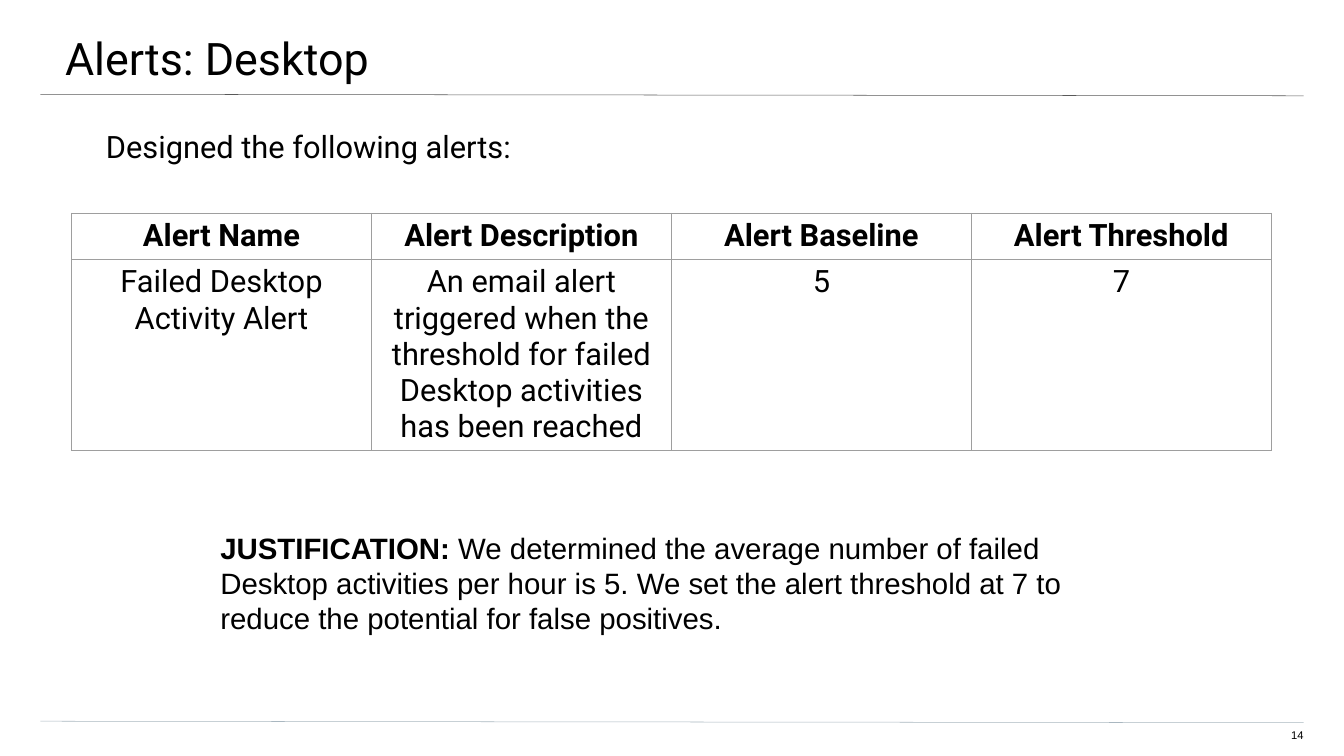
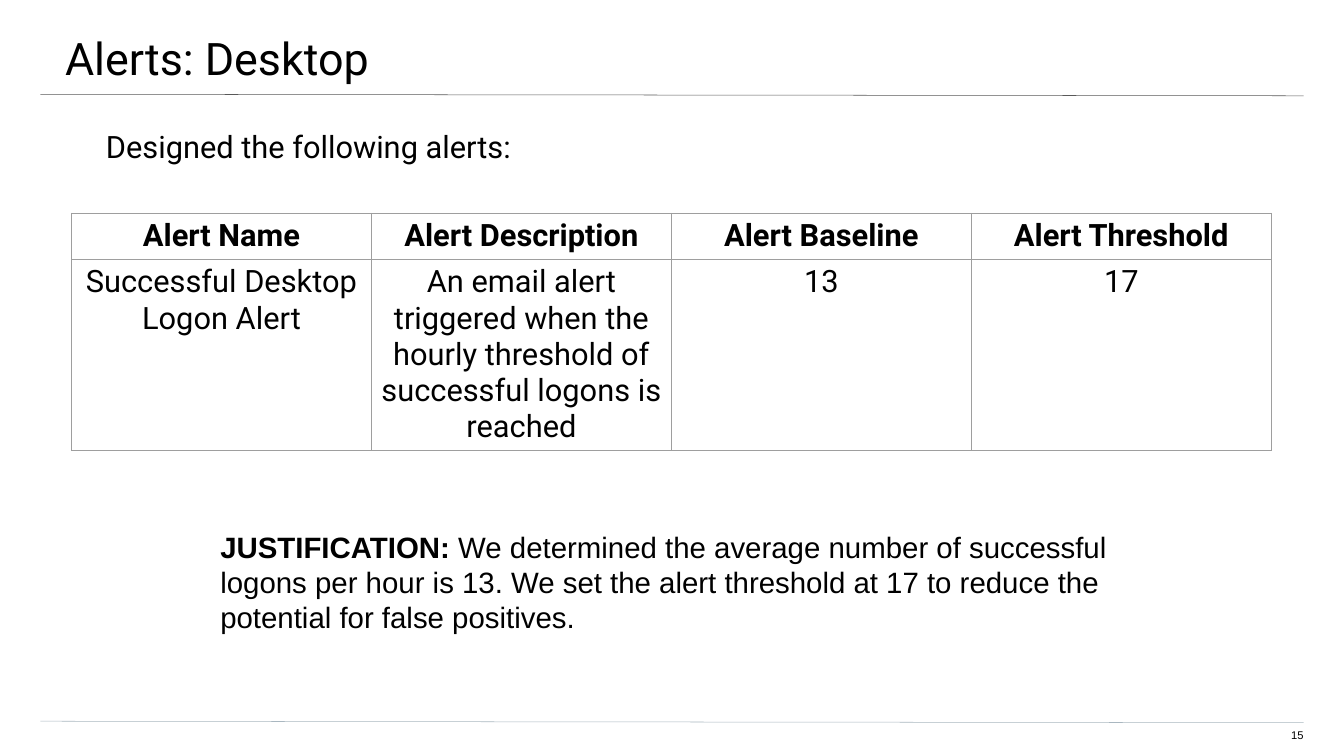
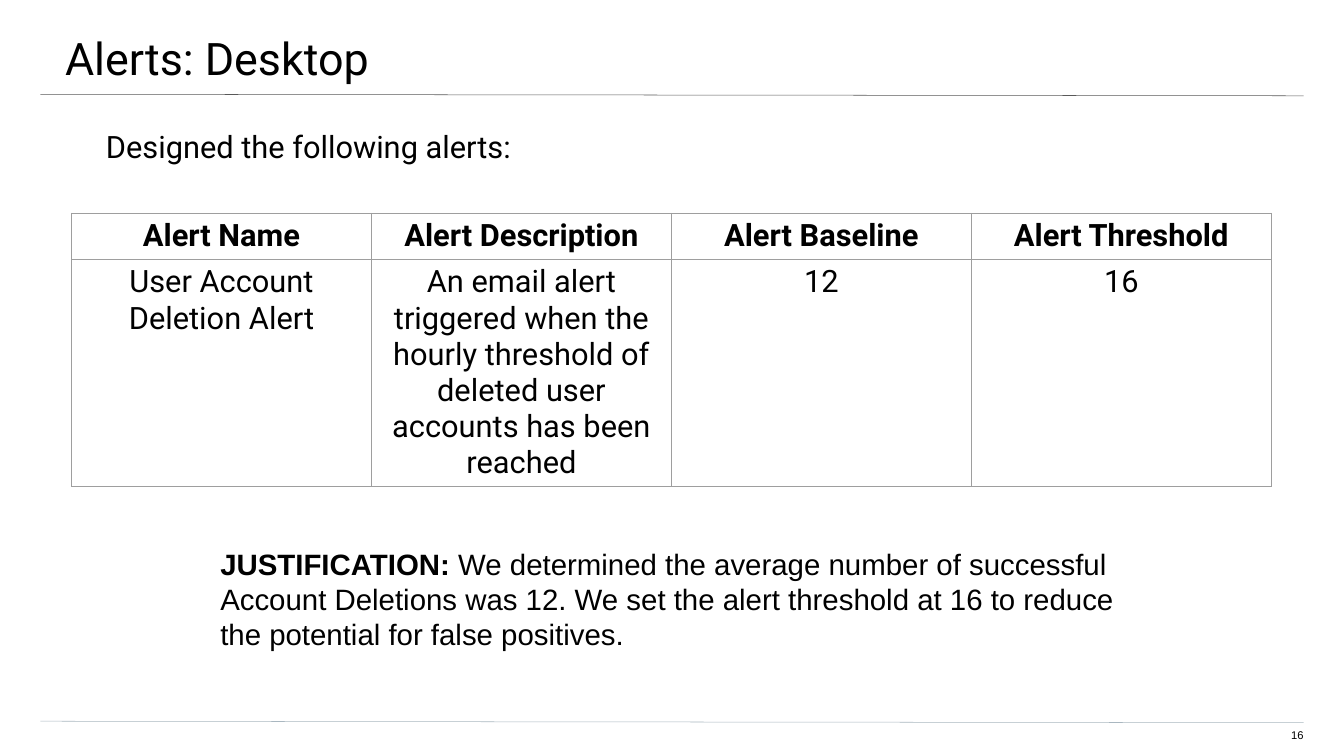
from dataclasses import dataclass

from lxml import etree
from pptx import Presentation
from pptx import util as u
from pptx.dml.color import RGBColor
from pptx.enum import shapes, text
from pptx.oxml import ns


@dataclass(frozen=True)
class Theme:
    """Colours, fonts, type sizes and line widths of the deck."""
    ink: str = "000000"
    paper: str = "FFFFFF"
    title_rule: str = "595959"
    footer_rule: str = "A9B7C0"
    border: str = "9E9E9E"
    heading_font: str = "Roboto"
    plain_font: str = "Arial"
    title_size: int = 64
    body_size: int = 44
    note_size: int = 42
    number_size: int = 16
    hairline: float = 0.75


@dataclass(frozen=True)
class Box:
    """A rectangle in EMU that can hand out areas of itself."""
    left: int
    top: int
    width: int
    height: int

    def inside(self, left, top, width, height):
        """Return an inner box given in percent of this one."""
        return Box(int(self.left + self.width * left / 100),
                   int(self.top + self.height * top / 100),
                   int(self.width * width / 100),
                   int(self.height * height / 100))

    @property
    def bounds(self):
        """Return left, top, width and height."""
        return self.left, self.top, self.width, self.height


@dataclass(frozen=True)
class Alert:
    """The content of one alert slide."""
    name: str
    description: str
    baseline: str
    threshold: str
    justification: str
    note_top: float = 69.4
    note_height: float = 15.47


THEME = Theme()
PAGE = Box(0, 0, u.Inches(26.66), u.Inches(15))
FIRST_NUMBER = 14
HEADERS = ("Alert Name", "Alert Description", "Alert Baseline", "Alert Threshold")
ROW_SHARES = (2.8, 6.2)
ALERTS = (
    Alert("Failed Desktop Activity Alert",
          "An email alert triggered when the threshold for failed Desktop "
          "activities has been reached", "5", "7",
          "We determined the average number of failed Desktop activities per hour "
          "is 5. We set the alert threshold at 7 to reduce the potential for "
          "false positives."),
    Alert("Successful Desktop Logon Alert",
          "An email alert triggered when the hourly threshold of successful "
          "logons is reached", "13", "17",
          "We determined the average number of successful logons per hour is 13. "
          "We set the alert threshold at 17 to reduce the potential for false "
          "positives.", note_top=69.27),
    Alert("User Account Deletion Alert",
          "An email alert triggered when the hourly threshold of deleted user "
          "accounts has been reached", "12", "16",
          "We determined the average number of successful Account Deletions was "
          "12. We set the alert threshold at 16 to reduce the potential for "
          "false positives.", note_top=71.53, note_height=20.2),
)


def write(frame, *runs, size, font=THEME.heading_font, align=text.PP_ALIGN.LEFT,
          insets=(0.1, 0.1, 0.1, 0.1)):
    """Fill a text frame with one paragraph of (text, bold) runs."""
    frame.word_wrap = True
    frame.auto_size = text.MSO_AUTO_SIZE.NONE
    frame.vertical_anchor = text.MSO_ANCHOR.TOP
    (frame.margin_left, frame.margin_top,
     frame.margin_right, frame.margin_bottom) = map(u.Inches, insets)
    paragraph = frame.paragraphs[0]
    paragraph.alignment = align
    for words, bold in runs:
        run = paragraph.add_run()
        run.text = words
        run.font.name = font
        run.font.size = u.Pt(size)
        run.font.bold = bold
        run.font.color.rgb = RGBColor.from_string(THEME.ink)


def add_text(slide, box, *runs, **style):
    """Add a text box and return its text frame."""
    frame = slide.shapes.add_textbox(*box.bounds).text_frame
    write(frame, *runs, **style)
    return frame


def add_rule(slide, box, color):
    """Draw a slightly falling rule from corner to corner of the box."""
    rule = slide.shapes.add_connector(
        shapes.MSO_CONNECTOR.STRAIGHT, box.left, box.top,
        box.left + box.width, box.top + box.height)
    rule.line.color.rgb = RGBColor.from_string(color)
    rule.line.width = u.Pt(THEME.hairline)
    etree.SubElement(rule._element.spPr, ns.qn("a:effectLst"))


def add_header(slide, box):
    """Place the title and the rule beneath it."""
    add_rule(slide, box.inside(3, 12.47, 94, 0.2), THEME.title_rule)
    title = slide.shapes.title
    title.left, title.top, title.width, title.height = box.inside(
        -0.15, 0, 100.26, 10.4).bounds
    write(title.text_frame, ("Alerts: Desktop", False), size=THEME.title_size,
          insets=(1.33, 0.6, 0.8, 0.27))


def add_footer(slide, box, number):
    """Place the footer rule and the slide number."""
    add_rule(slide, box.inside(3, 95.4, 94, 0.2), THEME.footer_rule)
    add_text(slide, box.inside(94.15, 96.4, 2.85, 2.07), (str(number), False),
             size=THEME.number_size, font=THEME.plain_font,
             align=text.PP_ALIGN.RIGHT, insets=(0, 0, 0, 0.27))


def add_borders(cell):
    """Give a cell a thin line on all four sides."""
    properties = cell._tc.get_or_add_tcPr()
    for side in ("lnL", "lnR", "lnT", "lnB"):
        line = etree.SubElement(properties, ns.qn(f"a:{side}"),
                                w=str(u.Pt(THEME.hairline)))
        fill = etree.SubElement(line, ns.qn("a:solidFill"))
        etree.SubElement(fill, ns.qn("a:srgbClr"), val=THEME.border)


def style_cell(cell, words, bold):
    """Write a centred cell with borders and no fill."""
    add_borders(cell)
    cell.fill.background()
    cell.margin_left = cell.margin_right = u.Inches(0.1)
    cell.margin_top = cell.margin_bottom = u.Inches(0.1)
    paragraph = cell.text_frame.paragraphs[0]
    paragraph.alignment = text.PP_ALIGN.CENTER
    run = paragraph.add_run()
    run.text = words
    run.font.name = THEME.heading_font
    run.font.size = u.Pt(THEME.body_size)
    run.font.bold = bold
    run.font.color.rgb = RGBColor.from_string(THEME.ink)


def add_alert_table(slide, box, alert):
    """Place the alert table, with equal columns across the box."""
    values = (alert.name, alert.description, alert.baseline, alert.threshold)
    table = slide.shapes.add_table(2, len(HEADERS), *box.bounds).table
    table.first_row = table.horz_banding = False
    for column in table.columns:
        column.width = box.width // len(HEADERS)
    for row, share in zip(table.rows, ROW_SHARES):
        row.height = int(box.height * share / sum(ROW_SHARES))
    for row_index, row_values in enumerate((HEADERS, values)):
        for column_index, words in enumerate(row_values):
            style_cell(table.cell(row_index, column_index), words, row_index == 0)


def add_justification(slide, box, words):
    """Place the reasoning behind the threshold."""
    frame = add_text(slide, box, ("JUSTIFICATION: ", True), (words, False),
                     size=THEME.note_size, font=THEME.plain_font)
    frame.auto_size = text.MSO_AUTO_SIZE.SHAPE_TO_FIT_TEXT


def add_alert_slide(presentation, box, alert, number):
    """Build one slide that presents an alert."""
    slide = presentation.slides.add_slide(presentation.slide_layouts[5])
    slide.background.fill.solid()
    slide.background.fill.fore_color.rgb = RGBColor.from_string(THEME.paper)
    add_header(slide, box)
    add_footer(slide, box, number)
    add_text(slide, box.inside(2.89, 16.93, 94.11, 71.93),
             ("Designed the following alerts:", False),
             size=THEME.body_size, insets=(1.33, 0, 1.33, 2.67))
    add_alert_table(slide, box.inside(5.33, 28.2, 89.27, sum(ROW_SHARES)), alert)
    add_justification(slide, box.inside(16.02, alert.note_top, 67.97,
                                        alert.note_height), alert.justification)


def main():
    """Build and save the deck."""
    presentation = Presentation()
    presentation.slide_width, presentation.slide_height = PAGE.width, PAGE.height
    for number, alert in enumerate(ALERTS, FIRST_NUMBER):
        add_alert_slide(presentation, PAGE, alert, number)
    presentation.save("out.pptx")


if __name__ == "__main__":
    main()
